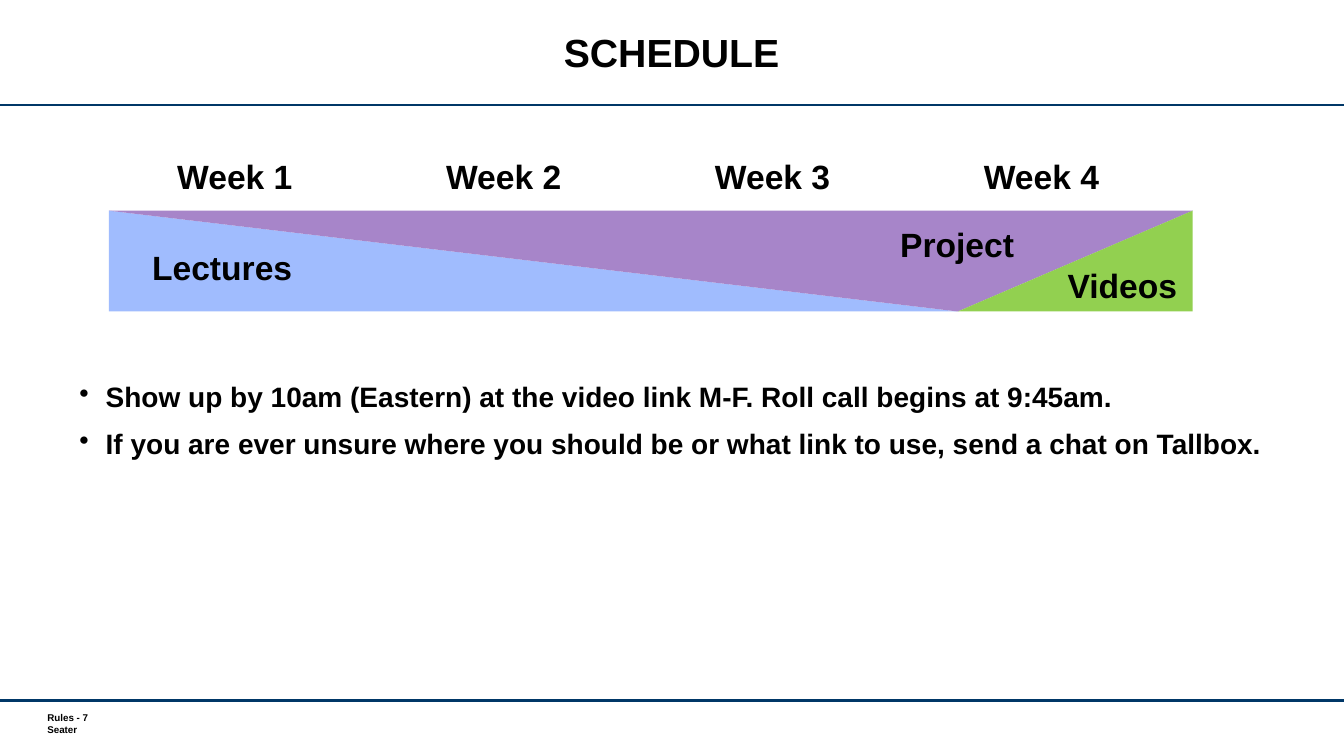
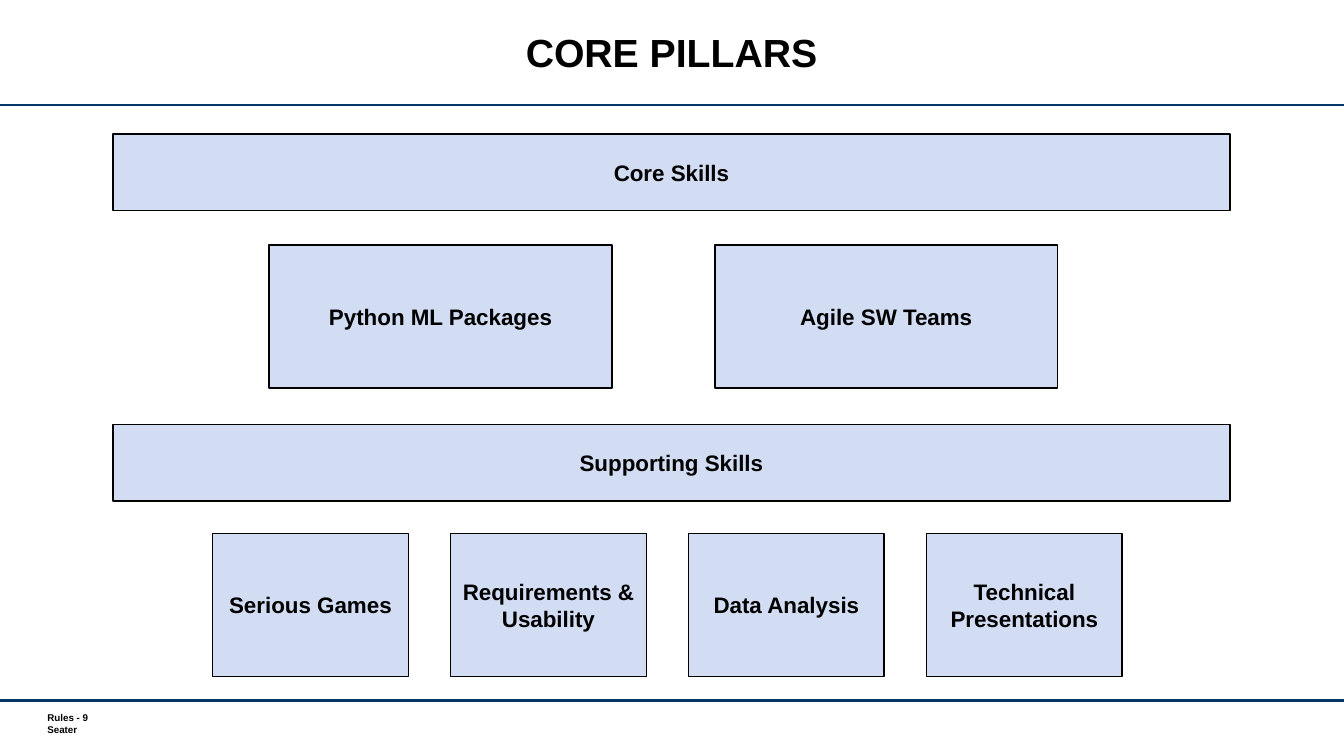
"""Build the schedule and core pillars slides of the rules deck."""
from dataclasses import dataclass

from lxml import etree
from pptx import Presentation
from pptx.dml.color import RGBColor
from pptx.enum import shapes, text
from pptx.oxml import ns
from pptx.util import Inches, Pt

COLORS = {
    "ink": "000000",
    "rule": "003767",
    "panel": "D2DCF2",
    "lectures": "A0BCFE",
    "project": "A785C9",
    "videos": "92D050",
}
FONT = "Arial"
SLIDE_WIDTH, SLIDE_HEIGHT = 13.33, 7.5
RULE_TOPS = (1.04, 6.95)


@dataclass(frozen=True)
class Box:
    left: float
    top: float
    width: float
    height: float

    def lengths(self) -> tuple:
        return tuple(Inches(v) for v in (self.left, self.top, self.width, self.height))


@dataclass(frozen=True)
class Wedge:
    box: Box
    color: str
    apex: float
    rotation: float = 0


@dataclass(frozen=True)
class Label:
    text: str
    box: Box


@dataclass(frozen=True)
class Row:
    labels: tuple
    first: Box
    step: float = 0


TITLE_BOX = Box(1.37, 0.11, 10.58, 0.89)
FOOTER_BOX = Box(0.47, 7.06, 1.59, 0.24)
BULLETS_BOX = Box(0.69, 3.75, 11.94, 3.08)
LECTURE_SPAN = Box(1.08, 2.09, 8.42, 1)
VIDEO_SPAN = Box(9.5, 2.09, 2.33, 1)

WEDGES = (
    Wedge(LECTURE_SPAN, "lectures", 0),
    Wedge(LECTURE_SPAN, "project", 0, 180),
    Wedge(VIDEO_SPAN, "project", 1, 180),
    Wedge(VIDEO_SPAN, "videos", 1),
)
WEEK_STEP = 8 / 3
WEEKS = tuple(
    Label(f"Week {i + 1}", Box(1.66 + i * WEEK_STEP, 1.5, 1.36, 0.5)) for i in range(4)
)
PHASES = (
    Label("Project", Box(8.83, 2.17, 1.34, 0.5)),
    Label("Lectures", Box(1.41, 2.4, 1.61, 0.5)),
    Label("Videos", Box(10.49, 2.58, 1.3, 0.5)),
)
BULLETS = (
    "Show up by 10am (Eastern) at the video link M-F. Roll call begins at 9:45am.",
    "If you are ever unsure where you should be or what link to use, "
    "send a chat on Tallbox.",
)
PILLAR_ROWS = (
    Row(("Core Skills",), Box(1.12, 1.33, 11.08, 0.76)),
    Row(("Python ML Packages", "Agile SW Teams"), Box(2.67, 2.43, 3.4, 1.42), 4.42),
    Row(("Supporting Skills",), Box(1.12, 4.21, 11.08, 0.76)),
    Row(
        ("Serious Games", "Requirements & Usability", "Data Analysis",
         "Technical Presentations"),
        Box(2.11, 5.29, 1.94, 1.42),
        2.36,
    ),
)


def color(name: str) -> RGBColor:
    return RGBColor.from_string(COLORS[name])


def write(frame, lines, size: float, align=text.PP_ALIGN.LEFT) -> list:
    paragraphs = []
    for index, line in enumerate(lines):
        paragraph = frame.add_paragraph() if index else frame.paragraphs[0]
        paragraph.alignment = align
        run = paragraph.add_run()
        run.text = line
        run.font.name = FONT
        run.font.size = Pt(size)
        run.font.bold = True
        run.font.color.rgb = color("ink")
        paragraphs.append(paragraph)
    return paragraphs


def add_text_frame(slide, box: Box, wrap: bool = True):
    frame = slide.shapes.add_textbox(*box.lengths()).text_frame
    frame.word_wrap = wrap
    return frame


def add_rule(slide, top: float) -> None:
    rule = slide.shapes.add_connector(
        shapes.MSO_CONNECTOR.STRAIGHT,
        Inches(0), Inches(top), Inches(SLIDE_WIDTH), Inches(top),
    )
    rule.line.color.rgb = color("rule")
    rule.line.width = Pt(1.75)
    etree.SubElement(rule._element.spPr, ns.qn("a:effectLst"))


def add_base_slide(presentation, title: str, number: int):
    slide = presentation.slides.add_slide(presentation.slide_layouts[6])
    for top in RULE_TOPS:
        add_rule(slide, top)
    footer = add_text_frame(slide, FOOTER_BOX)
    footer.margin_left = footer.margin_right = Inches(0)
    footer.margin_top = footer.margin_bottom = Inches(0)
    write(footer, (f"Rules - {number}", "Seater"), 7)
    heading = add_text_frame(slide, TITLE_BOX)
    heading.vertical_anchor = text.MSO_ANCHOR.MIDDLE
    write(heading, (title,), 28, text.PP_ALIGN.CENTER)[0].line_spacing = Pt(28)
    return slide


def add_filled_shape(slide, preset, box: Box, fill: str):
    shape = slide.shapes.add_shape(preset, *box.lengths())
    shape.shadow.inherit = False
    shape.fill.solid()
    shape.fill.fore_color.rgb = color(fill)
    return shape


def add_wedge(slide, wedge: Wedge) -> None:
    preset = shapes.MSO_SHAPE.ISOSCELES_TRIANGLE
    shape = add_filled_shape(slide, preset, wedge.box, wedge.color)
    shape.adjustments[0] = wedge.apex
    shape.rotation = wedge.rotation
    shape.line.fill.background()


def add_panel(slide, label: Label) -> None:
    shape = add_filled_shape(slide, shapes.MSO_SHAPE.RECTANGLE, label.box, "panel")
    shape.line.color.rgb = color("ink")
    shape.line.width = Pt(1)
    frame = shape.text_frame
    frame.word_wrap = True
    frame.vertical_anchor = text.MSO_ANCHOR.MIDDLE
    write(frame, (label.text,), 16, text.PP_ALIGN.CENTER)


def add_bullets(slide) -> None:
    frame = add_text_frame(slide, BULLETS_BOX)
    for index, paragraph in enumerate(write(frame, BULLETS, 20)):
        properties = paragraph._p.get_or_add_pPr()
        properties.set("marL", str(Inches(0.26)))
        properties.set("indent", str(Inches(-0.26)))
        etree.SubElement(properties, ns.qn("a:buChar")).set("char", "•")
        paragraph.line_spacing = 0.9
        paragraph.space_before = Pt(12 if index else 0)


def add_schedule(presentation) -> None:
    slide = add_base_slide(presentation, "SCHEDULE", 7)
    add_bullets(slide)
    for wedge in WEDGES:
        add_wedge(slide, wedge)
    for label in PHASES + WEEKS:
        write(add_text_frame(slide, label.box, wrap=False), (label.text,), 24)


def add_pillars(presentation) -> None:
    slide = add_base_slide(presentation, "CORE PILLARS", 9)
    for row in PILLAR_ROWS:
        first = row.first
        for index, name in enumerate(row.labels):
            left = first.left + index * row.step
            add_panel(slide, Label(name, Box(left, first.top, first.width, first.height)))


def main() -> None:
    presentation = Presentation()
    presentation.slide_width = Inches(SLIDE_WIDTH)
    presentation.slide_height = Inches(SLIDE_HEIGHT)
    add_schedule(presentation)
    add_pillars(presentation)
    presentation.save("out.pptx")


if __name__ == "__main__":
    main()
